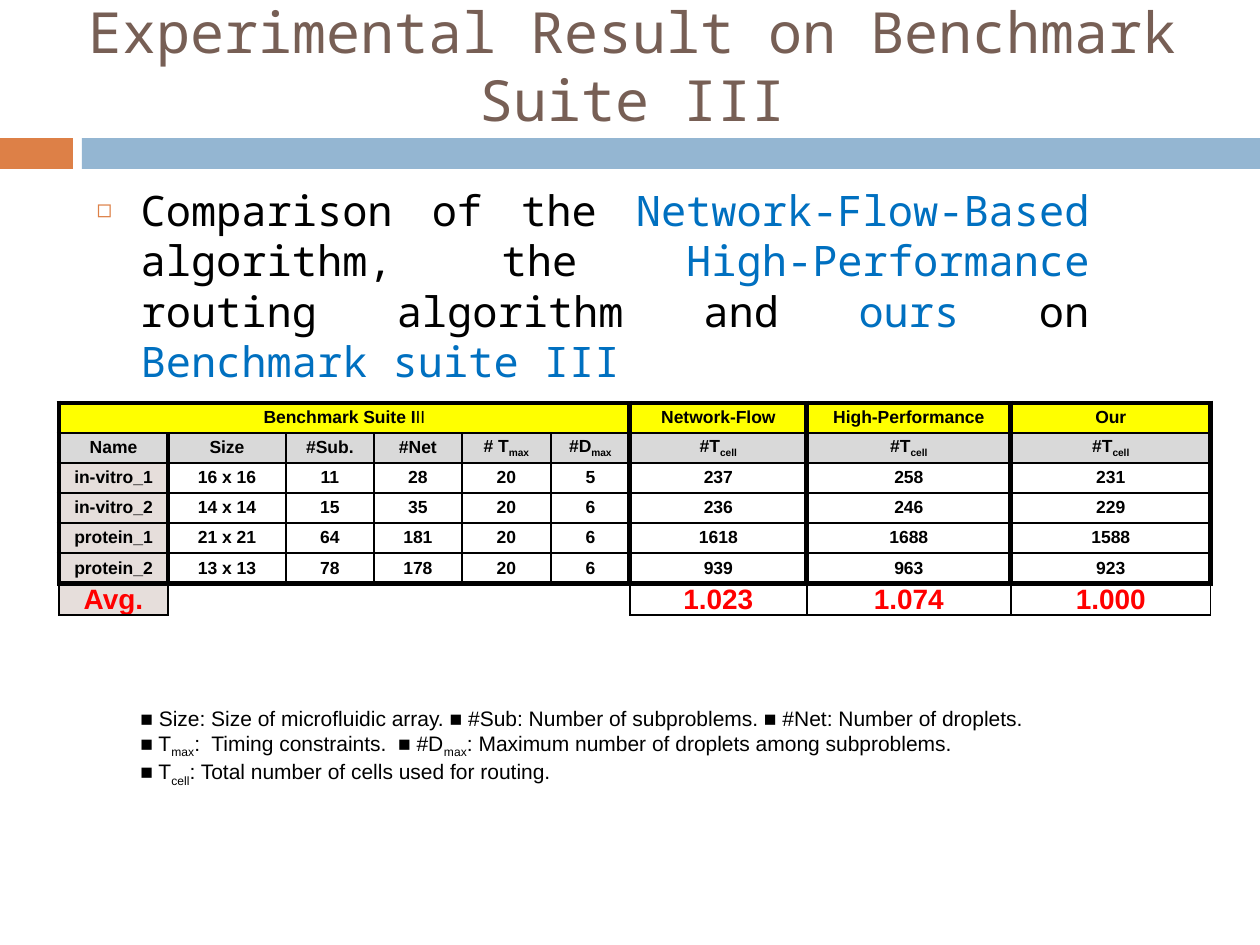
from typing import NamedTuple

import lxml.etree
import pptx
import pptx.dml.color
import pptx.enum.shapes
import pptx.enum.text
import pptx.oxml.ns
import pptx.util

EMU_PER_PIXEL = 914400 / 126
BLACK, RED, BLUE, ORANGE = "000000", "FF0000", "0070C0", "DD8047"
YELLOW, GREY, BEIGE = "FFFF00", "D9D9D9", "E6DEDB"
MONO, SANS = "Noto Sans Mono", "Arial"
NO_TABLE_STYLE = "{2D5ABB26-0587-4C30-8999-92F81FD0307C}"
CENTER = pptx.enum.text.PP_ALIGN.CENTER
MIDDLE = pptx.enum.text.MSO_ANCHOR.MIDDLE


class Box(NamedTuple):
    """A rectangle in pixels."""
    left: int
    top: int
    width: int
    height: int


class Piece(NamedTuple):
    """A run of text and what sets it apart."""
    text: str
    color: str = BLACK
    bold: bool = False
    subscript: bool = False


class Bar(NamedTuple):
    """A coloured bar below the title."""
    box: Box
    color: str


def px(pixels: float) -> int:
    """Turn pixels into EMU."""
    return pptx.util.Emu(round(pixels * EMU_PER_PIXEL))


def rgb(value: str) -> pptx.dml.color.RGBColor:
    """Turn a hex string into a colour."""
    return pptx.dml.color.RGBColor.from_string(value)


def add_element(parent, tag: str, **attributes: str):
    """Append a DrawingML element to a parent."""
    return lxml.etree.SubElement(parent, pptx.oxml.ns.qn(tag), attributes)


def place(shape, box: Box) -> None:
    """Move and size a shape."""
    shape.left, shape.top, shape.width, shape.height = map(px, box)


def write(paragraph, pieces: list[Piece], size: float, font: str) -> None:
    """Write formatted runs into a paragraph."""
    for piece in pieces:
        run = paragraph.add_run()
        run.text = piece.text
        run.font.size = pptx.util.Pt(size)
        run.font.name = font
        run.font.bold = piece.bold
        run.font.color.rgb = rgb(piece.color)
        if piece.subscript:
            run.font._element.set("baseline", "-25000")


def add_bar(slide, bar: Bar) -> None:
    """Draw a plain bar."""
    shape = slide.shapes.add_shape(
        pptx.enum.shapes.MSO_SHAPE.RECTANGLE, *map(px, bar.box))
    shape.shadow.inherit = False
    shape.fill.solid()
    shape.fill.fore_color.rgb = rgb(bar.color)
    shape.line.fill.background()


def fill_title(shape) -> None:
    """Write the slide title."""
    place(shape, Box(69, -8, 1128, 145))
    frame = shape.text_frame
    frame.auto_size = pptx.enum.text.MSO_AUTO_SIZE.NONE
    frame.vertical_anchor = MIDDLE
    frame.paragraphs[0].alignment = CENTER
    write(frame.paragraphs[0],
          [Piece("Experimental Result on Benchmark Suite III", "775F55")], 32.4, MONO)


def fill_body(shape) -> None:
    """Write the justified bullet."""
    place(shape, Box(84, 178, 1018, 620))
    shape.text_frame.auto_size = pptx.enum.text.MSO_AUTO_SIZE.NONE
    paragraph = shape.text_frame.paragraphs[0]
    paragraph.alignment = pptx.enum.text.PP_ALIGN.JUSTIFY
    paragraph.space_before = pptx.util.Pt(7)
    properties = paragraph._p.get_or_add_pPr()
    properties.set("marL", str(px(44)))
    properties.set("indent", str(px(-44)))
    add_element(add_element(properties, "a:buClr"), "a:srgbClr", val=ORANGE)
    add_element(properties, "a:buSzPct", val="60000")
    add_element(properties, "a:buChar", char="◻")
    write(paragraph, [
        Piece("Comparison of the "), Piece("Network-Flow-Based", BLUE),
        Piece(" algorithm, the "), Piece("High-Performance", BLUE),
        Piece(" routing algorithm and "), Piece("ours", BLUE),
        Piece(" on "), Piece("Benchmark suite III", BLUE)], 24, MONO)


COLUMN_WIDTHS = [109, 118, 88, 88, 89, 79, 177, 204, 200]
ROW_HEIGHTS = [30, 30, 30, 30, 30, 31, 31]
LAST_ROW = len(ROW_HEIGHTS) - 1
THICK_COLUMN_EDGES = {0, 1, 6, 7, 8, 9}
SPANS = {0: (0, 6), LAST_ROW: (1, 6)}
TABLE_TEXT = [
    ["Benchmark Suite I|II", "", "", "", "", "", "Network-Flow", "High-Performance", "Our"],
    ["Name", "Size", "#Sub.", "#Net", "# T_max", "#D_max"] + ["#T_cell"] * 3,
    ["in-vitro_1", "16 x 16", "11", "28", "20", "5", "237", "258", "231"],
    ["in-vitro_2", "14 x 14", "15", "35", "20", "6", "236", "246", "229"],
    ["protein_1", "21 x 21", "64", "181", "20", "6", "1618", "1688", "1588"],
    ["protein_2", "13 x 13", "78", "178", "20", "6", "939", "963", "923"],
    ["Avg.", "", "", "", "", "", "1.023", "1.074", "1.000"],
]


def cell_pieces(text: str, row: int) -> list[Piece]:
    """Split a cell text into bold, regular and subscript runs."""
    color = RED if row == LAST_ROW else BLACK
    if row == 1:
        base, _, index = text.partition("_")
        pieces = [Piece(base, color, True), Piece(index, color, True, True)]
    else:
        bold, _, regular = text.partition("|")
        pieces = [Piece(bold, color, True), Piece(regular, color)]
    return [piece for piece in pieces if piece.text]


def cell_fill(row: int, column: int) -> str:
    """Give the fill colour of a cell, or an empty string."""
    if row < 2:
        return (YELLOW, GREY)[row]
    return BEIGE if column == 0 else ""


def set_borders(cell, row: int, column: int) -> None:
    """Draw thick lines around column groups and thin ones elsewhere."""
    start, end = SPANS.get(row, (0, 0))
    left, right = (start, end) if start <= column < end else (column, column + 1)

    def column_width(edge: int) -> int:
        return 3 if row < LAST_ROW and edge in THICK_COLUMN_EDGES else 1

    bottom = 3 if row == LAST_ROW - 1 else 1
    if row == LAST_ROW and start <= column < end:
        bottom = 0
    widths = {"a:lnL": column_width(left), "a:lnR": column_width(right),
              "a:lnT": 3 if row in (0, LAST_ROW) else 1, "a:lnB": bottom}
    properties = cell._tc.get_or_add_tcPr()
    for tag, width in widths.items():
        line = add_element(properties, tag, w=str(pptx.util.Pt(width)))
        if width:
            add_element(add_element(line, "a:solidFill"), "a:srgbClr", val=BLACK)
        else:
            add_element(line, "a:noFill")


def fill_cell(cell, row: int, column: int) -> None:
    """Format one table cell and write its text."""
    cell.margin_left = cell.margin_right = px(9)
    cell.margin_top = cell.margin_bottom = 0
    cell.vertical_anchor = MIDDLE
    set_borders(cell, row, column)
    color = cell_fill(row, column)
    if color:
        cell.fill.solid()
        cell.fill.fore_color.rgb = rgb(color)
    else:
        cell.fill.background()
    paragraph = cell.text_frame.paragraphs[0]
    paragraph.alignment = CENTER
    write(paragraph, cell_pieces(TABLE_TEXT[row][column], row),
          16 if row == LAST_ROW else 10, SANS)
    add_element(paragraph._p, "a:endParaRPr", sz="1000")


def add_results(slide) -> None:
    """Build the table of results."""
    box = Box(59, 403, sum(COLUMN_WIDTHS), sum(ROW_HEIGHTS))
    table = slide.shapes.add_table(
        len(ROW_HEIGHTS), len(COLUMN_WIDTHS), *map(px, box)).table
    table.first_row = table.horz_banding = False
    table._tbl.tblPr[0].text = NO_TABLE_STYLE
    for column, width in zip(table.columns, COLUMN_WIDTHS):
        column.width = px(width)
    for row, height in zip(table.rows, ROW_HEIGHTS):
        row.height = px(height)
    for row, (start, end) in SPANS.items():
        table.cell(row, start).merge(table.cell(row, end - 1))
    for row in range(len(ROW_HEIGHTS)):
        for column in range(len(COLUMN_WIDTHS)):
            fill_cell(table.cell(row, column), row, column)


def add_legend(slide) -> None:
    """Explain the column names."""
    maximum, cell = Piece("max", subscript=True), Piece("cell", subscript=True)
    lines = [
        [Piece("■ Size: Size of microfluidic array. ■ #Sub: Number of subproblems. "
               "■ #Net: Number of droplets.")],
        [Piece("■ T"), maximum, Piece(":  Timing constraints.  ■ #D"), maximum,
         Piece(": Maximum number of droplets among subproblems.")],
        [Piece("■ T"), cell, Piece(": Total number of cells used for routing.")],
    ]
    frame = slide.shapes.add_textbox(*map(px, Box(128, 699, 1043, 89))).text_frame
    frame.word_wrap = True
    for number, pieces in enumerate(lines):
        paragraph = frame.add_paragraph() if number else frame.paragraphs[0]
        write(paragraph, pieces, 12, SANS)


def main() -> None:
    """Build and save the slide."""
    presentation = pptx.Presentation()
    presentation.slide_width, presentation.slide_height = px(1260), px(945)
    slide = presentation.slides.add_slide(presentation.slide_layouts[1])
    for bar in (Bar(Box(0, 138, 73, 31), ORANGE), Bar(Box(82, 138, 1178, 31), "94B6D2")):
        add_bar(slide, bar)
    fill_title(slide.shapes.title)
    fill_body(slide.placeholders[1])
    add_results(slide)
    add_legend(slide)
    presentation.save("out.pptx")


main()
